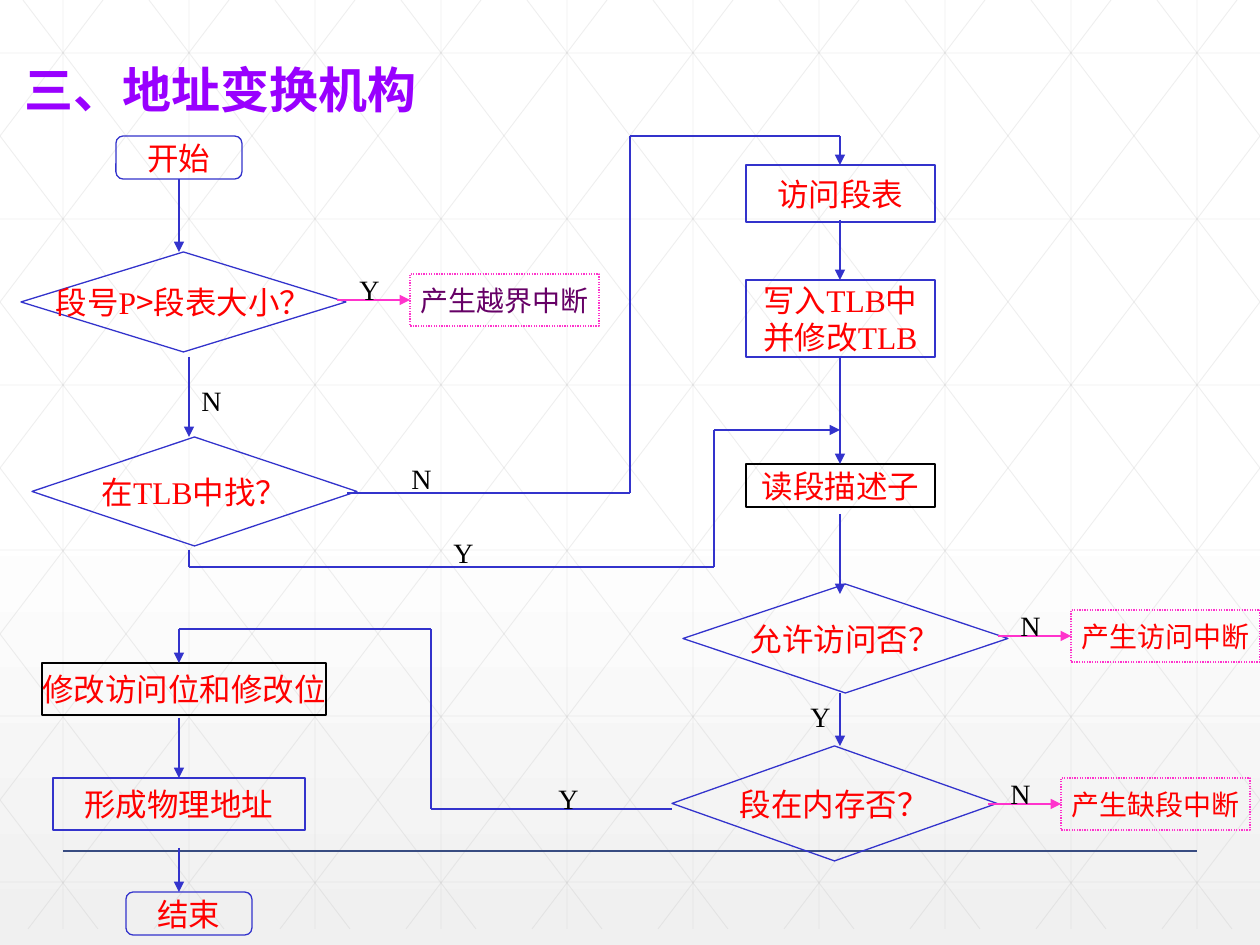
from typing import NamedTuple

from lxml.etree import SubElement
from pptx import Presentation
from pptx.dml.color import RGBColor
from pptx.enum.dml import MSO_LINE_DASH_STYLE as Dash
from pptx.enum.shapes import MSO_CONNECTOR as Connector, MSO_SHAPE as Preset
from pptx.enum.text import MSO_ANCHOR as Anchor, PP_ALIGN as Align
from pptx.oxml.ns import qn
from pptx.util import Emu, Pt

WIDTH, HEIGHT = 1260, 945
EMU_PER_PX = 914400 / 126

WHITE = RGBColor(0xFF, 0xFF, 0xFF)
PALE_GRAY = RGBColor(0xF0, 0xF0, 0xF0)
GRID_GRAY = RGBColor(0xC0, 0xC0, 0xC0)
NAVY = RGBColor(0x38, 0x4C, 0x81)
BLUE = RGBColor(0x33, 0x33, 0xCC)
PINK = RGBColor(0xFF, 0x33, 0xCC)
BLACK = RGBColor(0x00, 0x00, 0x00)
RED = RGBColor(0xFF, 0x00, 0x00)
PLUM = RGBColor(0x66, 0x00, 0x66)
VIOLET = RGBColor(0x99, 0x00, 0xFF)

SERIF, SANS, CJK = "Times New Roman", "Arial", "Noto Sans CJK SC"
Point = tuple[int, int]


class Step(NamedTuple):
    preset: Preset
    left: int
    top: int
    width: int
    height: int
    lines: list[str]
    outline: RGBColor = BLUE


class Interrupt(NamedTuple):
    """Dotted box, reached by a pink arrow that carries a Y or N label."""
    left: int
    top: int
    text: str
    answer: str
    color: RGBColor = RED


class Route(NamedTuple):
    points: list[Point]
    arrow: bool = True


class Answer(NamedTuple):
    left: int
    top: int
    text: str


STEPS = [
    Step(Preset.ROUNDED_RECTANGLE, 116, 136, 126, 43, ["开始"]),
    Step(Preset.DIAMOND, 21, 252, 325, 100, ["段号P>段表大小？"]),
    Step(Preset.DIAMOND, 32, 437, 325, 109, ["在TLB中找？"]),
    Step(Preset.RECTANGLE, 746, 165, 189, 57, ["访问段表"]),
    Step(Preset.RECTANGLE, 746, 280, 189, 77, ["写入TLB中", "并修改TLB"]),
    Step(Preset.RECTANGLE, 746, 464, 189, 43, ["读段描述子"], BLACK),
    Step(Preset.DIAMOND, 683, 584, 325, 109, ["允许访问否？"]),
    Step(Preset.DIAMOND, 672, 746, 325, 115, ["段在内存否？"]),
    Step(Preset.RECTANGLE, 42, 663, 284, 52, ["修改访问位和修改位"], BLACK),
    Step(Preset.RECTANGLE, 53, 778, 252, 52, ["形成物理地址"]),
    Step(Preset.ROUNDED_RECTANGLE, 126, 892, 126, 43, ["结束"]),
]
INTERRUPTS = [
    Interrupt(410, 274, "产生越界中断", "Y", PLUM),
    Interrupt(1071, 610, "产生访问中断", "N"),
    Interrupt(1061, 778, "产生缺段中断", "N"),
]
ROUTES = [
    Route([(179, 179), (179, 252)]),
    Route([(189, 357), (189, 437)]),
    Route([(347, 493), (630, 493), (630, 136), (840, 136), (840, 165)]),
    Route([(189, 550), (189, 567), (714, 567), (714, 430), (840, 430)]),
    Route([(840, 220), (840, 280)]),
    Route([(840, 357), (840, 430)], arrow=False),
    Route([(840, 421), (840, 464)]),
    Route([(840, 514), (840, 594)]),
    Route([(840, 693), (840, 746)]),
    Route([(672, 809), (431, 809), (431, 629), (179, 629), (179, 663)]),
    Route([(179, 718), (179, 778)]),
    Route([(179, 848), (179, 892)]),
]
ANSWERS = [
    Answer(189, 377, "N"),
    Answer(399, 455, "N"),
    Answer(441, 529, "Y"),
    Answer(798, 693, "Y"),
    Answer(546, 775, "Y"),
]


def px(length: float) -> Emu:
    return Emu(round(length * EMU_PER_PX))


def add_run(para, text: str, size: int, color: RGBColor, name: str = SERIF):
    span = para.add_run()
    span.text = text
    span.font.size = Pt(size)
    span.font.name = name
    span.font.color.rgb = color
    SubElement(span.font._element, qn("a:ea")).set("typeface", CJK)
    return span


def draw_line(slide, start: Point, end: Point, color: RGBColor,
              weight: float = 0.75, arrow: bool = False):
    line = slide.shapes.add_connector(
        Connector.STRAIGHT, *(px(value) for value in (*start, *end)))
    line.line.color.rgb = color
    line.line.width = Pt(weight)
    properties = line.element.spPr
    if arrow:
        SubElement(properties.find(qn("a:ln")), qn("a:tailEnd")).set("type", "triangle")
    SubElement(properties, qn("a:effectLst"))
    return line


def draw_grid_line(slide, start: Point, end: Point) -> None:
    line = draw_line(slide, start, end, GRID_GRAY, 0.5)
    color = next(line.element.spPr.iter(qn("a:srgbClr")))
    SubElement(color, qn("a:alpha")).set("val", "25000")


def draw_grid(slide) -> None:
    """Upright, level and mirrored slanting lines, clipped to the slide."""
    bottom, run = 929, 705
    for column in range(10):
        x = 63 + 126 * column
        draw_grid_line(slide, (x, 0), (x, bottom))
    for row in range(6):
        y = round(53 + 165.8 * row)
        draw_grid_line(slide, (0, y), (WIDTH, y))
    for index in range(-5, 10):
        top_x = 23 + 126 * index
        left, right = max(top_x, 0), min(top_x + run, WIDTH)
        y1, y2 = (round((x - top_x) * bottom / run) for x in (left, right))
        draw_grid_line(slide, (left, y1), (right, y2))
        draw_grid_line(slide, (WIDTH - left, y1), (WIDTH - right, y2))


def draw_box(slide, step: Step, size: int = 18, color: RGBColor = RED):
    box = slide.shapes.add_shape(
        step.preset, px(step.left), px(step.top), px(step.width), px(step.height))
    box.shadow.inherit = False
    box.fill.background()
    box.line.color.rgb = step.outline
    box.line.width = Pt(0.75)
    frame = box.text_frame
    frame.word_wrap = False
    frame.vertical_anchor = Anchor.MIDDLE
    for number, line in enumerate(step.lines):
        para = frame.add_paragraph() if number else frame.paragraphs[0]
        para.alignment = Align.CENTER
        before, sign, after = line.partition(">")
        for text, name in ((before, SERIF), (sign, CJK), (after, SERIF)):
            if text:
                add_run(para, text, size, color, name)
    return box


def draw_answer(slide, answer: Answer) -> None:
    box = slide.shapes.add_textbox(px(answer.left), px(answer.top), px(42), px(46))
    box.text_frame.word_wrap = True
    add_run(box.text_frame.paragraphs[0], answer.text, 16, BLACK)


def draw_interrupt(slide, item: Interrupt) -> None:
    y = item.top + 26
    draw_line(slide, (item.left - 73, y), (item.left, y), PINK, arrow=True)
    step = Step(Preset.RECTANGLE, item.left, item.top, 189, 52, [item.text], PINK)
    draw_box(slide, step, 16, item.color).line.dash_style = Dash.ROUND_DOT
    draw_answer(slide, Answer(item.left - 63, item.top - 8, item.answer))


def draw_route(slide, route: Route) -> None:
    last = len(route.points) - 1
    for number, (start, end) in enumerate(zip(route.points, route.points[1:]), 1):
        draw_line(slide, start, end, BLUE, arrow=route.arrow and number == last)


def paint_background(slide) -> None:
    fill = slide.background.fill
    fill.gradient()
    fill.gradient_angle = 270
    for stop, position, color in zip(fill.gradient_stops, (0.53, 1), (WHITE, PALE_GRAY)):
        stop.position = position
        stop.color.rgb = color


def write_title(slide) -> None:
    title = slide.shapes.title
    title.left, title.top, title.width, title.height = px(0), px(53), px(441), px(72)
    slide.shapes.element.append(title.element)
    frame = title.text_frame
    frame.word_wrap = True
    frame.vertical_anchor = Anchor.TOP
    para = frame.paragraphs[0]
    para.alignment = Align.CENTER
    add_run(para, "三、地址变换机构", 28, VIOLET, SANS).font.bold = True


def main() -> None:
    deck = Presentation()
    deck.slide_width, deck.slide_height = px(WIDTH), px(HEIGHT)
    slide = deck.slides.add_slide(deck.slide_layouts[5])
    paint_background(slide)
    draw_grid(slide)
    draw_line(slide, (63, 851), (1197, 851), NAVY, 1)
    write_title(slide)
    for items, draw in ((STEPS, draw_box), (ROUTES, draw_route),
                        (INTERRUPTS, draw_interrupt), (ANSWERS, draw_answer)):
        for item in items:
            draw(slide, item)
    deck.save("out.pptx")


if __name__ == "__main__":
    main()
